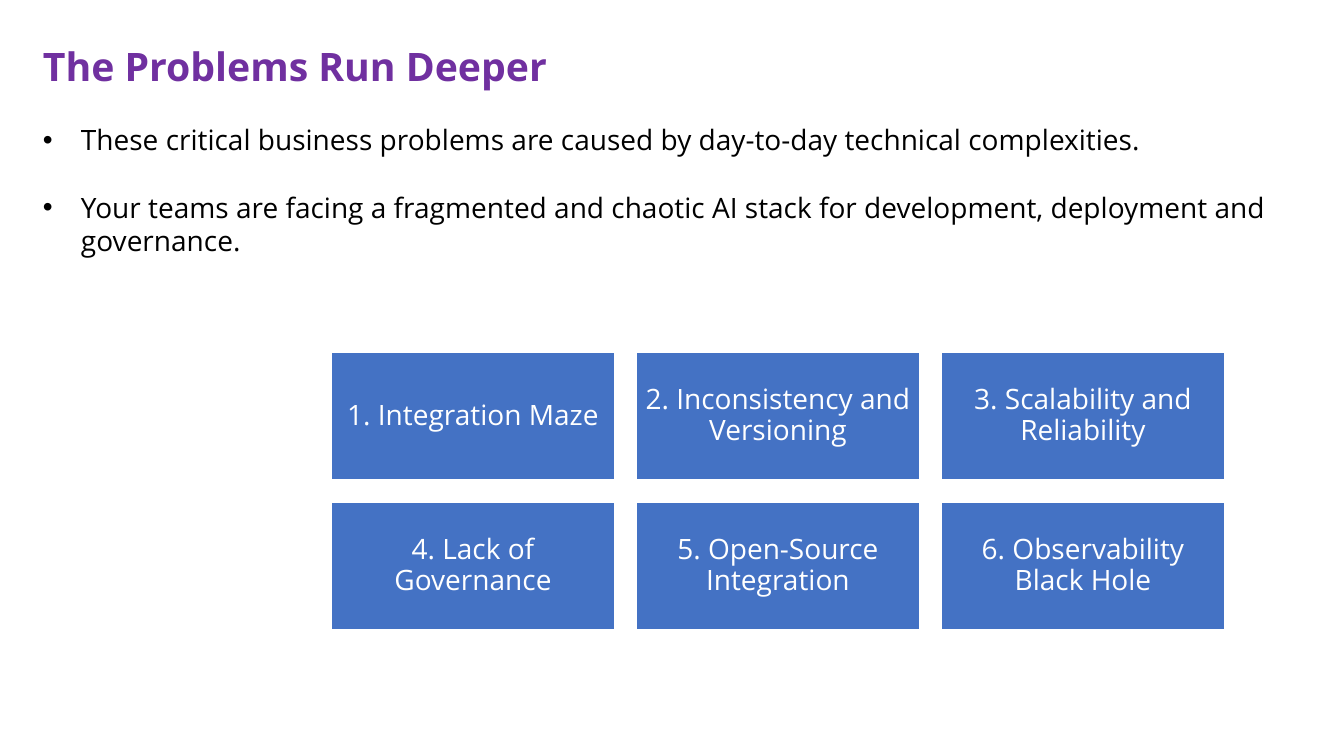
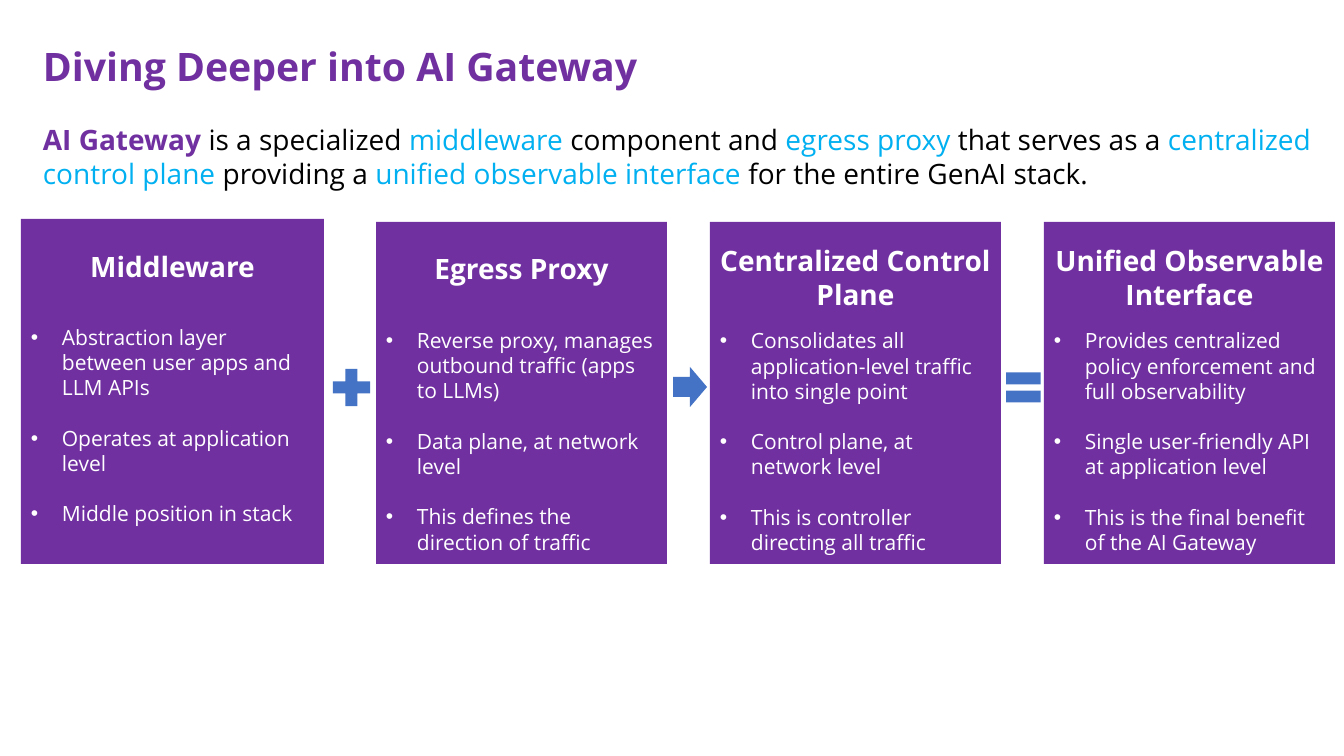
from lxml import etree
from pptx import Presentation
from pptx import util as u
from pptx.dml.color import RGBColor
from pptx.enum import shapes, text
from pptx.oxml.ns import qn

HUES = {
    "violet": "7030A0",
    "blue": "4472C4",
    "sky": "00B0F0",
    "black": "000000",
    "white": "FFFFFF",
}
FONT = "Open Sans"
WIDE, HIGH = 1344, 756
SCALE = u.Inches(1) / 100.8
KIND = shapes.MSO_SHAPE
ALIGN = text.PP_ALIGN


def px(n):
    return u.Emu(round(n * SCALE))


def hue(name):
    return RGBColor.from_string(HUES[name])


class Deck:
    def __init__(self):
        self.prs = Presentation()
        self.prs.slide_width = px(WIDE)
        self.prs.slide_height = px(HIGH)
        self.page = None

    def start(self, title):
        self.page = self.prs.slides.add_slide(self.prs.slide_layouts[6])
        frame = self.label(33, 37, 1246, 57)
        frame.text = title
        self.style(frame.paragraphs[0], 28, "violet", True)

    def label(self, x, y, w, h):
        box = self.page.shapes.add_textbox(px(x), px(y), px(w), px(h))
        box.text_frame.word_wrap = True
        return box.text_frame

    def shape(self, kind, x, y, w, h, fill, line=None):
        item = self.page.shapes.add_shape(kind, px(x), px(y), px(w), px(h))
        item.shadow.inherit = False
        item.fill.solid()
        item.fill.fore_color.rgb = hue(fill)
        if line:
            item.line.color.rgb = hue(line)
            item.line.width = u.Pt(1)
        else:
            item.line.fill.background()
        return item

    def style(self, para, size, color, bold=False):
        for run in para.runs:
            self.ink(run, size, color, bold)

    def ink(self, run, size, color, bold=False):
        run.font.name = FONT
        run.font.size = u.Pt(size)
        run.font.bold = bold
        run.font.color.rgb = hue(color)

    def bullet(self, para, size, color, indent, gap):
        props = para._p.get_or_add_pPr()
        props.set("marL", str(px(indent)))
        props.set("indent", str(-px(indent)))
        etree.SubElement(props, qn("a:buFont")).set("typeface", "Arial")
        etree.SubElement(props, qn("a:buChar")).set("char", "•")
        para.alignment = ALIGN.LEFT
        if gap:
            para.space_before = u.Pt(gap)
        self.style(para, size, color)

    def points(self, items):
        frame = self.label(33, 118, 1246, 147)
        frame.text = "\n".join(items)
        for i, para in enumerate(frame.paragraphs):
            self.bullet(para, 20, "black", 38, 24 if i else 0)

    def lead(self, parts):
        para = self.label(33, 118, 1310, 78).paragraphs[0]
        for words, color in parts:
            run = para.add_run()
            run.text = words
            self.ink(run, 20, color, color == "violet")

    def tile(self, x, y, w, h, words):
        frame = self.shape(KIND.RECTANGLE, x, y, w, h, "blue", "white").text_frame
        frame.word_wrap = True
        frame.vertical_anchor = text.MSO_ANCHOR.MIDDLE
        frame.margin_left = frame.margin_right = px(8)
        frame.margin_top = frame.margin_bottom = px(8)
        frame.text = words
        para = frame.paragraphs[0]
        para.alignment = ALIGN.CENTER
        para.line_spacing = 0.9
        self.style(para, 20, "white")

    def card(self, x, y, w, h, inset, gap, head, items):
        frame = self.shape(KIND.RECTANGLE, x, y, w, h, "violet").text_frame
        frame.word_wrap = True
        frame.vertical_anchor = text.MSO_ANCHOR.TOP
        frame.margin_top = px(inset)
        frame.text = "\n".join([head, *items])
        top, *rest = frame.paragraphs
        top.alignment = ALIGN.CENTER
        self.style(top, 20, "white", True)
        for i, para in enumerate(rest):
            self.bullet(para, 15, "white", 31, 18 if i else gap)


def main():
    deck = Deck()

    deck.start("The Problems Run Deeper")
    deck.points([
        "These critical business problems are caused by day-to-day technical complexities.",
        "Your teams are facing a fragmented and chaotic AI stack for development, "
        "deployment and governance.",
    ])
    issues = [
        "Integration Maze",
        "Inconsistency and Versioning",
        "Scalability and Reliability",
        "Lack of Governance",
        "Open-Source Integration",
        "Observability Black Hole",
    ]
    for i, issue in enumerate(issues):
        row, col = divmod(i, 3)
        deck.tile(331 + 305 * col, 352 + 150 * row, 284, 128, f"{i + 1}. {issue}")

    deck.start("Diving Deeper into AI Gateway")
    deck.lead([
        ("AI Gateway ", "violet"),
        ("is a specialized ", "black"),
        ("middleware ", "sky"),
        ("component and ", "black"),
        ("egress proxy ", "sky"),
        ("that serves as a ", "black"),
        ("centralized control plane ", "sky"),
        ("providing a ", "black"),
        ("unified observable interface ", "sky"),
        ("for the entire GenAI stack.", "black"),
    ])
    short, tall = (30, 30), (22, 12)
    cards = [
        (21, 219, 303, short, "Middleware", [
            "Abstraction layer between user apps and LLM APIs",
            "Operates at application level",
            "Middle position in stack",
        ]),
        (376, 222, 291, short, "Egress Proxy", [
            "Reverse proxy, manages outbound traffic (apps to LLMs)",
            "Data plane, at network level",
            "This defines the direction of traffic",
        ]),
        (710, 222, 291, tall, "Centralized Control Plane", [
            "Consolidates all application-level traffic into single point",
            "Control plane, at network level",
            "This is controller directing all traffic",
        ]),
        (1044, 222, 291, tall, "Unified Observable Interface", [
            "Provides centralized policy enforcement and full observability",
            "Single user-friendly API at application level",
            "This is the final benefit of the AI Gateway",
        ]),
    ]
    for x, y, w, room, head, items in cards:
        deck.card(x, y, w, 564 - y, *room, head, items)

    signs = [
        (KIND.MATH_PLUS, 326, 51, 51),
        (KIND.RIGHT_ARROW, 673, 34, 40),
        (KIND.MATH_EQUAL, 1000, 47, 51),
    ]
    for kind, x, w, h in signs:
        deck.shape(kind, x, 387 - h // 2, w, h, "blue")

    deck.prs.save("out.pptx")


if __name__ == "__main__":
    main()
